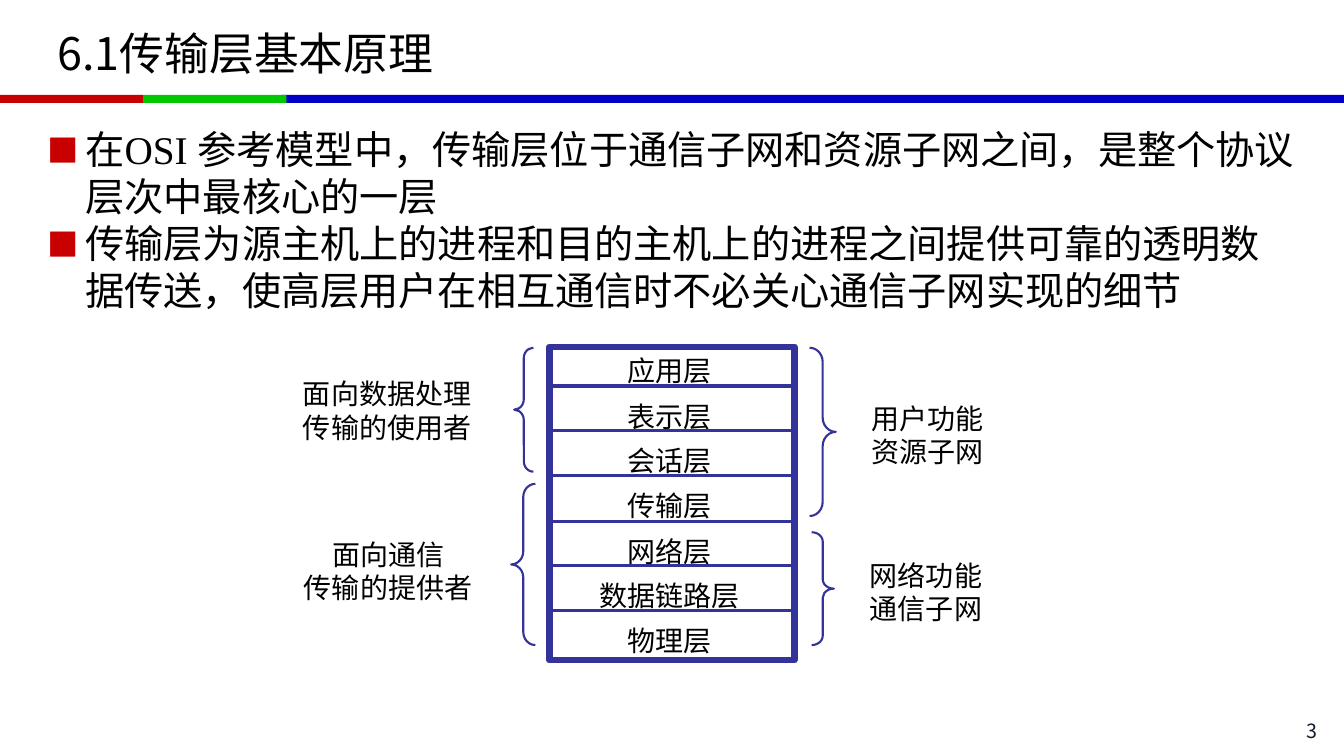
from dataclasses import dataclass

import pptx
import pptx.dml.color
import pptx.enum.shapes
import pptx.enum.text
import pptx.oxml
import pptx.oxml.ns
import pptx.util

SCALE = 9144
HUES = {"red": "C80000", "green": "00C800", "blue": "0000C8", "line": "333399",
        "black": "000000", "white": "FFFFFF", "page": "12192B"}
SANS = "Noto Sans CJK SC"
SERIF = "Times New Roman"
FORM = pptx.enum.shapes.MSO_SHAPE
ALIGN = pptx.enum.text.PP_ALIGN
ANCHOR = pptx.enum.text.MSO_ANCHOR
SPACE = pptx.oxml.ns.nsdecls("a")


@dataclass
class Box:
    left: int
    top: int
    width: int
    height: int

    def emu(self) -> list:
        return [px(n) for n in (self.left, self.top, self.width, self.height)]


@dataclass
class Label:
    box: Box
    lines: list
    size: int = 20
    font: str = SANS
    hue: str = "black"
    align: ALIGN = ALIGN.CENTER
    anchor: ANCHOR = ANCHOR.TOP
    inset: tuple = (0, 0)
    bullet: bool = False


@dataclass
class Bar:
    box: Box
    hue: str


@dataclass
class Brace:
    box: Box
    form: FORM
    curve: float


def px(count: int) -> int:
    return pptx.util.Emu(count * SCALE)


def color(name: str) -> pptx.dml.color.RGBColor:
    return pptx.dml.color.RGBColor.from_string(HUES[name])


def apply(target, form: dict) -> None:
    for name, value in form.items():
        setattr(target, name, value)


def stroke(line, weight: float) -> None:
    line.color.rgb = color("line")
    line.width = pptx.util.Pt(weight)


def add_bar(slide, bar: Bar):
    shape = slide.shapes.add_shape(FORM.RECTANGLE, *bar.box.emu())
    shape.shadow.inherit = False
    shape.fill.solid()
    shape.fill.fore_color.rgb = color(bar.hue)
    shape.line.fill.background()
    return shape


def add_brace(slide, brace: Brace) -> None:
    shape = slide.shapes.add_shape(brace.form, *brace.box.emu())
    shape.shadow.inherit = False
    shape.fill.background()
    shape.adjustments[0] = brace.curve
    stroke(shape.line, 1.5)


def add_rule(slide, left: int, right: int, top: int) -> None:
    rule = slide.shapes.add_connector(
        pptx.enum.shapes.MSO_CONNECTOR.STRAIGHT, px(left), px(top), px(right), px(top))
    stroke(rule.line, 2.25)
    rule._element.spPr.append(pptx.oxml.parse_xml(f"<a:effectLst {SPACE}/>"))


def add_bullet(para) -> None:
    props = para._p.get_or_add_pPr()
    props.set("marL", str(px(38)))
    props.set("indent", str(-px(38)))
    for mark in (f'<a:buClr {SPACE}><a:srgbClr val="{HUES["red"]}"/></a:buClr>',
                 f'<a:buSzPct {SPACE} val="80000"/>',
                 f'<a:buFont {SPACE} typeface="{SANS}"/>',
                 f'<a:buChar {SPACE} char="■"/>'):
        props.append(pptx.oxml.parse_xml(mark))


def add_label(slide, label: Label) -> None:
    frame = slide.shapes.add_textbox(*label.box.emu()).text_frame
    side, edge = (px(n) for n in label.inset)
    drop = px(round(label.size * 0.14))
    apply(frame, {"word_wrap": True, "vertical_anchor": label.anchor,
                  "margin_left": side, "margin_right": side,
                  "margin_top": edge + drop, "margin_bottom": edge})
    for spot, line in enumerate(label.lines):
        para = frame.paragraphs[0] if spot == 0 else frame.add_paragraph()
        apply(para, {"alignment": label.align,
                     "line_spacing": pptx.util.Pt(label.size * 1.2)})
        if label.bullet:
            add_bullet(para)
        run = para.add_run()
        run.text = line
        apply(run.font, {"size": pptx.util.Pt(label.size), "name": label.font})
        run.font.color.rgb = color(label.hue)
        east = pptx.oxml.parse_xml(f'<a:ea {SPACE} typeface="{SANS}"/>')
        run._r.get_or_add_rPr().append(east)


BARS = [Bar(Box(279, 94, 1054, 8), "blue"), Bar(Box(0, 94, 142, 8), "red"),
        Bar(Box(142, 94, 142, 8), "green")]
LABELS = [
    Label(Box(1186, 706, 130, 28), ["3"], 14, hue="page", align=ALIGN.RIGHT, inset=(10, 5)),
    Label(Box(47, 8, 1239, 84), ["6.1传输层基本原理"], 32, align=ALIGN.LEFT,
          anchor=ANCHOR.MIDDLE, inset=(10, 5)),
    Label(Box(37, 115, 1260, 211),
          ["在OSI 参考模型中，传输层位于通信子网和资源子网之间，是整个协议层次中最核心的一层",
           "传输层为源主机上的进程和目的主机上的进程之间提供可靠的透明数据传送，使高层用户在相互通信时不必关心通信子网实现的细节"],
          28, SERIF, align=ALIGN.LEFT, inset=(10, 5), bullet=True),
    Label(Box(273, 371, 222, 67), ["面向数据处理", "传输的使用者"]),
    Label(Box(273, 530, 224, 67), ["面向通信", "传输的提供者"]),
    Label(Box(835, 395, 170, 67), ["用户功能", "资源子网"]),
    Label(Box(835, 551, 167, 67), ["网络功能", "通信子网"]),
]
LAYERS = ["应用层", "表示层", "会话层", "传输层", "网络层", "数据链路层", "物理层"]
PITCH = 44.65
BRACES = [Brace(Box(510, 345, 19, 123), FORM.LEFT_BRACE, 0.54),
          Brace(Box(507, 480, 24, 160), FORM.LEFT_BRACE, 0.54),
          Brace(Box(803, 345, 26, 167), FORM.RIGHT_BRACE, 0.54),
          Brace(Box(805, 528, 22, 112), FORM.RIGHT_BRACE, 0.42)]


def main() -> None:
    deck = pptx.Presentation()
    apply(deck, {"slide_width": px(1333), "slide_height": px(750)})
    slide = deck.slides.add_slide(deck.slide_layouts[6])
    for bar in BARS:
        add_bar(slide, bar)
    stack = add_bar(slide, Bar(Box(545, 344, 243, 311), "white"))
    stroke(stack.line, 4.5)
    for row, name in enumerate(LAYERS):
        if row:
            add_rule(slide, 547, 787, round(338 + row * PITCH))
        wide = 28 * len(name)
        box = Box(664 - wide // 2, round(348 + row * PITCH), wide, 34)
        add_label(slide, Label(box, [name]))
    for label in LABELS:
        add_label(slide, label)
    for brace in BRACES:
        add_brace(slide, brace)
    deck.save("out.pptx")


if __name__ == "__main__":
    main()
